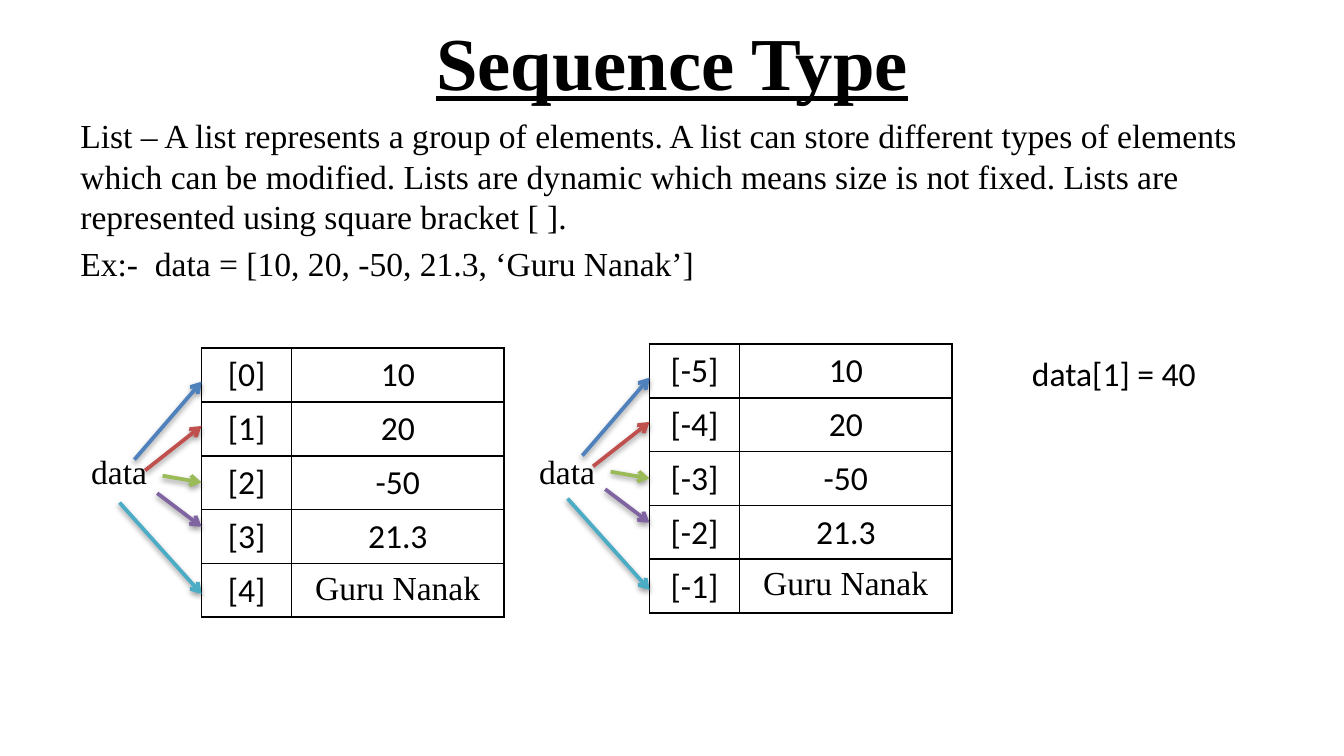
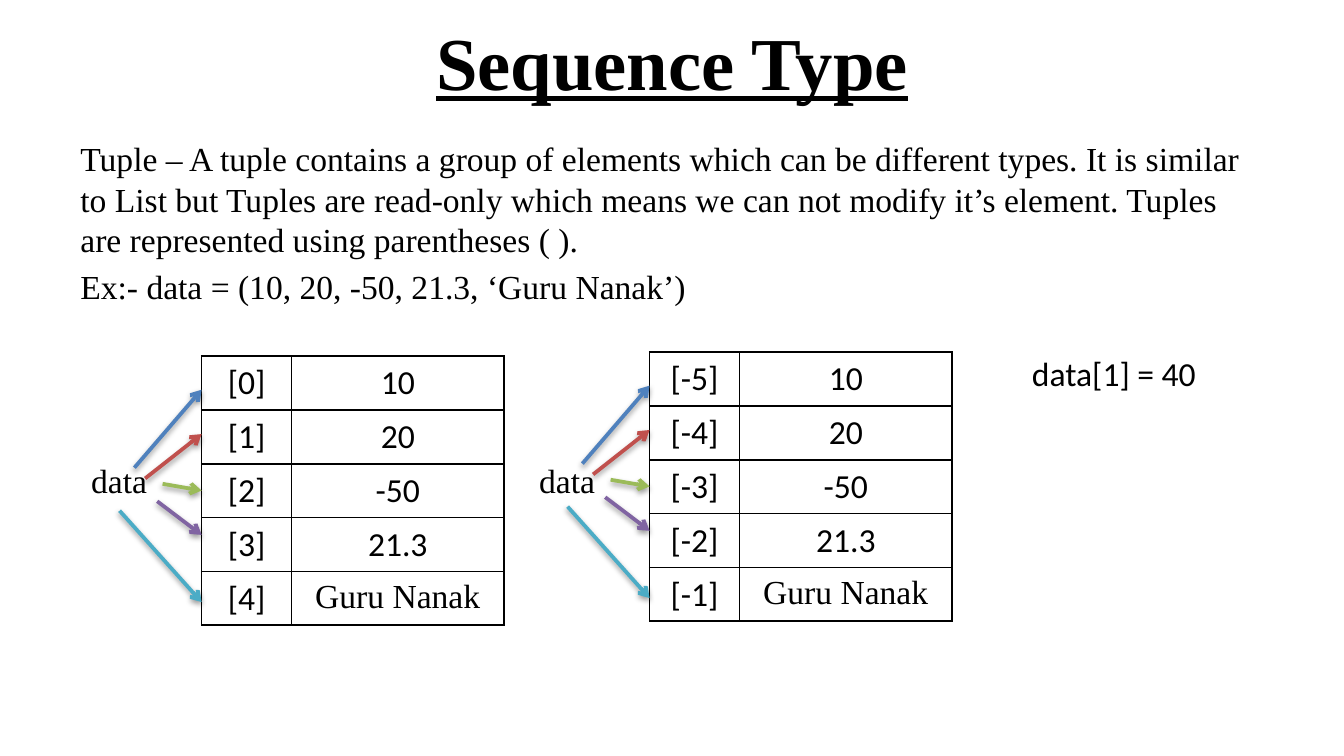
from lxml.etree import SubElement
from pptx import Presentation
from pptx.dml.color import RGBColor
from pptx.enum.shapes import MSO_CONNECTOR
from pptx.enum.text import MSO_ANCHOR, MSO_AUTO_SIZE, PP_ALIGN
from pptx.oxml import parse_xml
from pptx.oxml.ns import nsdecls, qn
from pptx.util import Inches, Pt

SERIF, SANS, INK = "Times New Roman", "Calibri", "000000"
SHADOW = f"""<a:effectLst {nsdecls("a")}>
  <a:outerShdw blurRad="39370" dist="20320" dir="5400000" rotWithShape="0">
    <a:srgbClr val="{INK}"><a:alpha val="38000"/></a:srgbClr>
  </a:outerShdw>
</a:effectLst>"""
ARROWS = [
    (1, 3.42, 2.84, "4F81BD"),
    (1.08, 3.5, 3.17, "C0504D"),
    (1.21, 3.54, 3.59, "9BBB59"),
    (1.17, 3.67, 3.92, "8064A2"),
    (0.89, 3.74, 4.42, "4BACC6"),
]
ITEMS = ["10", "20", "-50", "21.3", "Guru Nanak"]
PAGES = [
    (0.81, 0, [
        "List – A list represents a group of elements. A list can store different "
        "types of elements which can be modified. Lists are dynamic which means size "
        "is not fixed. Lists are represented using square bracket [ ].",
        "Ex:-  data = [10, 20, -50, 21.3, ‘Guru Nanak’]",
    ]),
    (0.98, 0.06, [
        "Tuple – A tuple contains a group of elements which can be different types. "
        "It is similar to List but Tuples are read-only which means we can not modify "
        "it’s element. Tuples are represented using parentheses ( ).",
        "Ex:- data = (10, 20, -50, 21.3, ‘Guru Nanak’)",
    ]),
]


def color(code):
    """Turn a hex string into a colour."""
    return RGBColor.from_string(code)


class Deck:
    """Holds the style and the current slide."""

    def __init__(self):
        """Start an empty widescreen deck."""
        self.prs = Presentation()
        self.prs.slide_width = Inches(10)
        self.prs.slide_height = Inches(10 * 9 / 16)
        self.slide = None

    def page(self):
        """Add a blank slide and make it current."""
        self.slide = self.prs.slides.add_slide(self.prs.slide_layouts[6])

    def style(self, para, font=SERIF, size=18, align=PP_ALIGN.LEFT):
        """Format a paragraph and its runs."""
        para.alignment = align
        for run in para.runs:
            run.font.name, run.font.size = font, Pt(size)
            run.font.color.rgb = color(INK)

    def box(self, left, top, width, height):
        """Add a wrapping text box and return its frame."""
        shape = self.slide.shapes.add_textbox(*map(Inches, (left, top, width, height)))
        shape.text_frame.word_wrap = True
        return shape.text_frame

    def title(self, text):
        """Add the underlined heading."""
        frame = self.box(0.5, -0.02, 9, 0.94)
        frame.vertical_anchor = MSO_ANCHOR.MIDDLE
        frame.text = text
        para = frame.paragraphs[0]
        self.style(para, size=40, align=PP_ALIGN.CENTER)
        font = para.runs[0].font
        font.bold = font.underline = True

    def body(self, top, lines):
        """Add the explanatory paragraphs."""
        frame = self.box(0.5, top, 9, 1.5)
        frame.text = "\n".join(lines)
        for para in frame.paragraphs:
            self.style(para)
            para.space_before = Pt(3.6)

    def label(self, left, top, width, text, font=SERIF):
        """Add a one-line label that fits its text."""
        frame = self.box(left, top, width, 0.4)
        frame.word_wrap = False
        frame.auto_size = MSO_AUTO_SIZE.SHAPE_TO_FIT_TEXT
        frame.text = text
        self.style(frame.paragraphs[0], font)

    def arrow(self, start, end, code):
        """Add a shadowed arrow."""
        link = self.slide.shapes.add_connector(
            MSO_CONNECTOR.STRAIGHT, *map(Inches, start + end))
        link.line.color.rgb = color(code)
        link.line.width = Pt(2)
        props = link._element.spPr
        SubElement(props.find(qn("a:ln")), qn("a:tailEnd"), type="arrow")
        props.append(parse_xml(SHADOW))

    def cell(self, cell, text):
        """Fill one bordered table cell."""
        cell.text = text
        font = SERIF if text == ITEMS[-1] else SANS
        self.style(cell.text_frame.paragraphs[0], font, align=PP_ALIGN.CENTER)
        cell.fill.background()
        props = cell._tc.get_or_add_tcPr()
        for spot, side in enumerate("LRTB"):
            props.insert(spot, parse_xml(
                f'<a:ln{side} {nsdecls("a")} w="12700"><a:solidFill>'
                f'<a:srgbClr val="{INK}"/></a:solidFill></a:ln{side}>'))

    def table(self, left, top, first):
        """Add the items with indices counted from first."""
        grid = self.slide.shapes.add_table(
            len(ITEMS), 2, *map(Inches, (left, top, 2.25, 2))).table
        grid.first_row = grid.horz_banding = False
        grid.columns[0].width, grid.columns[1].width = Inches(0.67), Inches(1.58)
        for num, item in enumerate(ITEMS):
            grid.rows[num].height = Inches(0.4)
            self.cell(grid.cell(num, 0), f"[{first + num}]")
            self.cell(grid.cell(num, 1), item)

    def group(self, right, lift, drop, first):
        """Add a table with its label and arrows."""
        down = drop - lift
        edge = 1.5 + right
        self.table(edge, 2.59 + down, first)
        self.label(0.58 + right, 3.31 + drop, 0.62, "data")
        for left, top, tip, code in ARROWS:
            self.arrow((left + right, top + down), (edge, tip + down), code)


def main():
    """Build and save the slides."""
    deck = Deck()
    for top, drop, lines in PAGES:
        deck.page()
        deck.title("Sequence Type")
        deck.body(top, lines)
        deck.group(0, 0, drop, 0)
        deck.group(10 / 3, 0.03, drop, -len(ITEMS))
        deck.label(7.58, 2.58, 1.44, "data[1] = 40", SANS)
    deck.prs.save("out.pptx")


if __name__ == "__main__":
    main()
